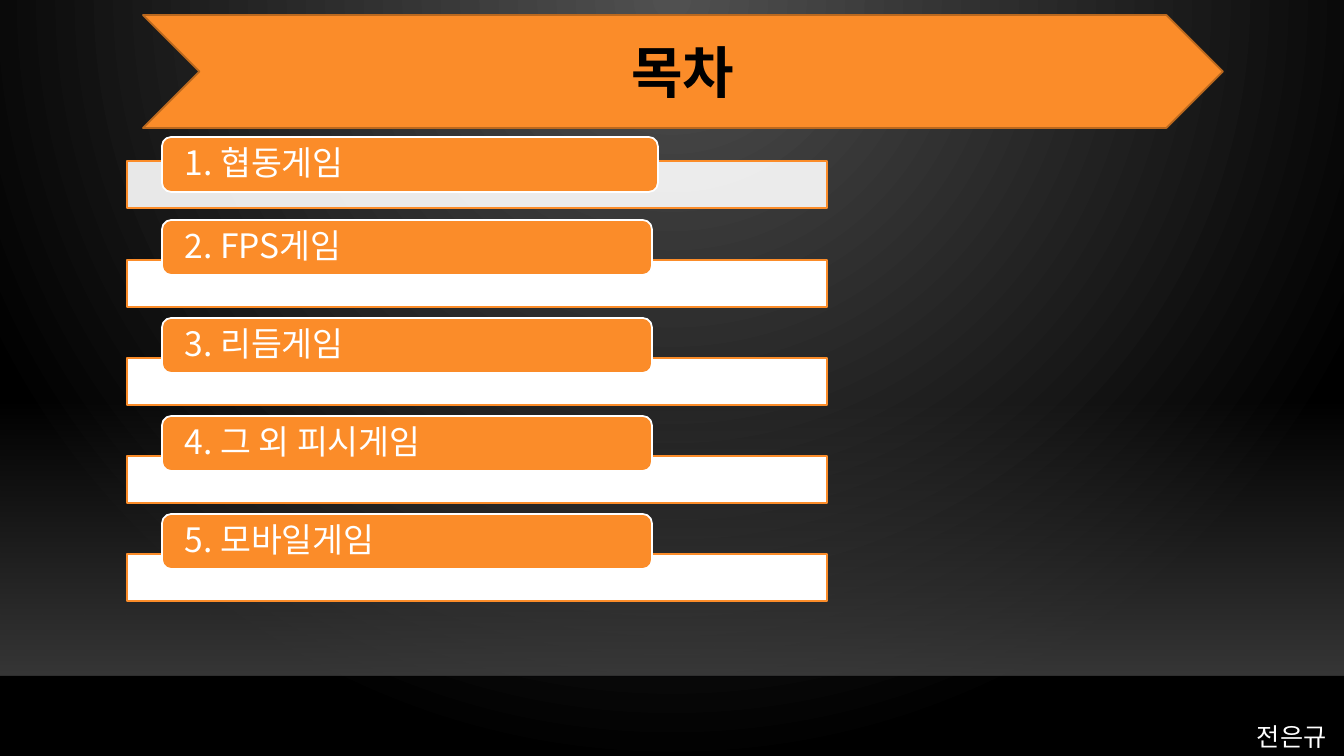
from pptx import Presentation, oxml
from pptx.dml.color import RGBColor
from pptx.enum import shapes, text
from pptx.oxml import ns
from pptx.util import Pt

PX = 914400 / 100.8
HUES = {
    "glow": "505050", "dark": "000000", "floor": "454545", "edge": "000001",
    "fire": "FB8C29", "rust": "BA681E", "snow": "FFFFFF",
}
KOR = "Noto Sans CJK KR"
ITEMS = ["1. 협동게임", "2. FPS게임", "3. 리듬게임", "4. 그 외 피시게임", "5. 모바일게임"]
STEP = 98


def px(*vals):
    """Turn pixel lengths into EMU."""
    return [round(v * PX) for v in vals]


def hue(name):
    """Look up a colour by name."""
    return RGBColor.from_string(HUES[name])


def put(obj, vals):
    """Set each attribute of an object from a dict."""
    for key, val in vals.items():
        setattr(obj, key, val)


def fade(root, part, alpha):
    """Set the opacity, in percent, of the colour inside a part."""
    tint = root.find(".//" + ns.qn(part)).find(".//" + ns.qn("a:srgbClr"))
    tint.append(oxml.parse_xml(f'<a:alpha {ns.nsdecls("a")} val="{alpha * 1000}"/>'))


def blend(root, stops, way):
    """Swap the first gradient under root for the given stops and direction."""
    marks = "".join(
        f'<a:gs pos="{pos * 1000}"><a:srgbClr val="{HUES[name]}">'
        f'<a:alpha val="{alpha * 1000}"/></a:srgbClr></a:gs>'
        for pos, name, alpha in stops)
    old = root.find(".//" + ns.qn("a:gradFill"))
    new = oxml.parse_xml(
        f'<a:gradFill {ns.nsdecls("a")} rotWithShape="1"><a:gsLst>{marks}</a:gsLst>{way}</a:gradFill>')
    old.getparent().replace(old, new)


def shape(slide, kind, box, fill=None, line=None):
    """Add a preset shape with a flat fill and a thin outline."""
    item = slide.shapes.add_shape(kind, *px(*box))
    item.shadow.inherit = False
    if fill:
        item.fill.solid()
        item.fill.fore_color.rgb = hue(fill)
    if line:
        item.line.color.rgb = hue(line)
        item.line.width = Pt(1.25)
    else:
        item.line.fill.background()
    return item


def write(item, words, size, face, tint, frame, para, bold=False):
    """Write one styled line of text into a shape."""
    put(item.text_frame, frame)
    line = item.text_frame.paragraphs[0]
    put(line, para)
    run = line.add_run()
    run.text = words
    put(run.font, {"size": Pt(size), "name": face, "bold": bold})
    run.font.color.rgb = hue(tint)
    run.font._element.append(
        oxml.parse_xml(f'<a:ea {ns.nsdecls("a")} typeface="{face}"/>'))


def stage(slide):
    """Paint the dark backdrop, the floor and its edge."""
    slide.background.fill.gradient()
    blend(slide.element, [(0, "glow", 100), (100, "dark", 100)],
          '<a:path path="circle"><a:fillToRect l="43000" t="0" r="43000" b="100000"/></a:path>')
    floor = shape(slide, shapes.MSO_SHAPE.RECTANGLE, (0, 399, 1344, 277))
    floor.fill.gradient()
    blend(floor.element, [(0, "floor", 0), (100, "floor", 80)],
          '<a:lin ang="5400000" scaled="0"/>')
    edge = slide.shapes.add_connector(
        shapes.MSO_CONNECTOR.STRAIGHT, *px(0, 676, 1344, 676))
    edge.line.color.rgb = hue("edge")
    edge.line.width = Pt(1)
    fade(edge.element, "a:ln", 20)
    edge.element.spPr.append(oxml.parse_xml(f'<a:effectLst {ns.nsdecls("a")}/>'))


def label(slide):
    """Add the author's name in the corner."""
    box = slide.shapes.add_textbox(*px(1247, 716, 97, 40))
    write(box, "전은규", 18, "Roboto Slab", "snow",
          {"word_wrap": False, "auto_size": text.MSO_AUTO_SIZE.SHAPE_TO_FIT_TEXT}, {})


def title(slide):
    """Add the arrow banner with the slide title."""
    flag = shape(slide, shapes.MSO_SHAPE.CHEVRON, (143, 15, 1080, 113), "fire", "rust")
    write(flag, "목차", 40, KOR, "dark",
          {"vertical_anchor": text.MSO_ANCHOR.MIDDLE},
          {"alignment": text.PP_ALIGN.CENTER}, True)


def entry(slide, words, bar, tab, wide):
    """Add one contents entry, an orange tab over a white bar, and return the bar."""
    back = shape(slide, shapes.MSO_SHAPE.RECTANGLE, (127, bar, 700, 47), "snow", "fire")
    front = shape(slide, shapes.MSO_SHAPE.ROUNDED_RECTANGLE,
                  (162, tab, wide, 55), "fire", "snow")
    side, = px(20)
    write(front, words, 24, KOR, "snow",
          {"vertical_anchor": text.MSO_ANCHOR.MIDDLE, "word_wrap": True,
           "margin_left": side, "margin_right": side,
           "margin_top": 0, "margin_bottom": 0},
          {"alignment": text.PP_ALIGN.LEFT, "line_spacing": 0.9})
    return back


def main():
    """Build and save the contents slide."""
    deck = Presentation()
    wide, high = px(1344, 756)
    put(deck, {"slide_width": wide, "slide_height": high})
    slide = deck.slides.add_slide(deck.slide_layouts[6])
    stage(slide)
    label(slide)
    title(slide)
    first = entry(slide, ITEMS[0], 161, 137, 496)
    fade(first.element, "a:solidFill", 90)
    for row, words in enumerate(ITEMS[1:]):
        entry(slide, words, 260 + row * STEP, 220 + row * STEP, 490)
    deck.save("out.pptx")


if __name__ == "__main__":
    main()
